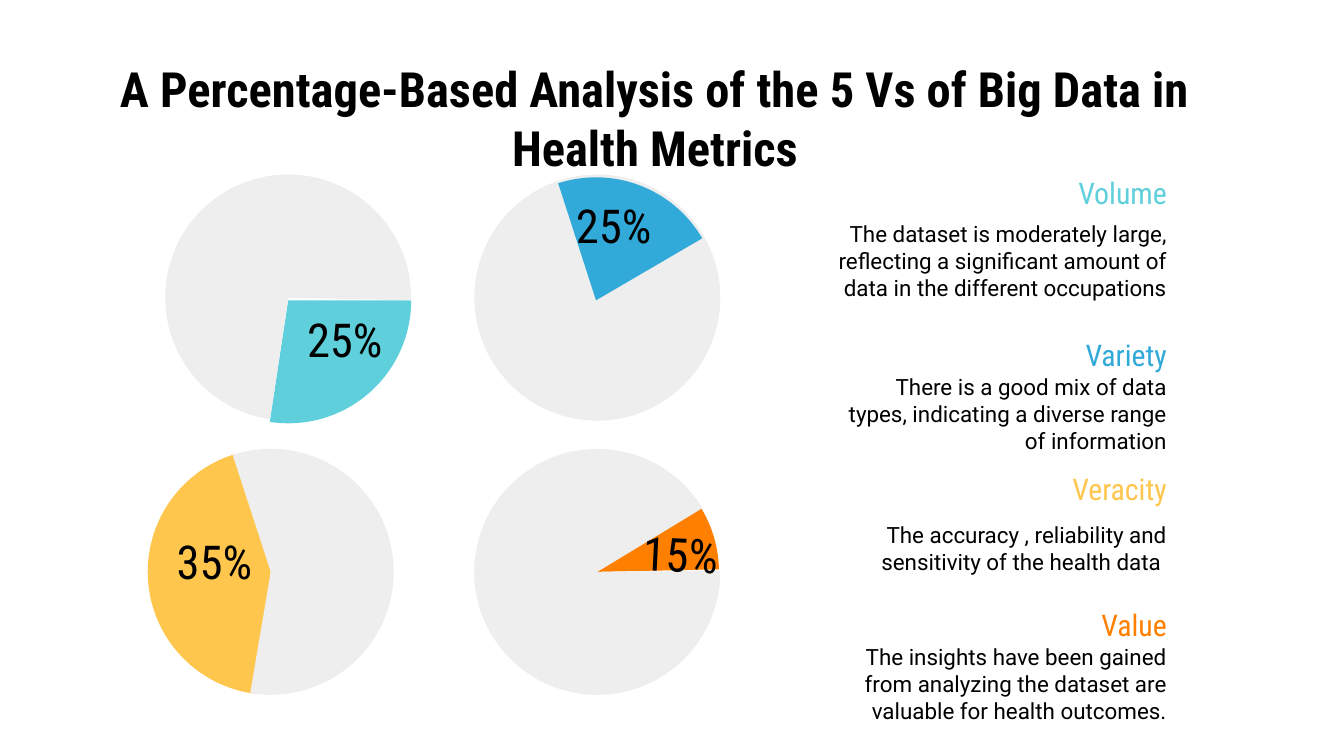
from pptx import Presentation
from pptx import util as u
from pptx.dml.color import RGBColor
from pptx.enum import shapes, text

WIDTH = 10
HEIGHT = WIDTH * 9 / 16
DIAMETER = 1.83
NOTE_RIGHT = 8.78
GREY, BLACK = "EEEEEE", "000000"
TEAL, BLUE, YELLOW, ORANGE = "5FD0DB", "32AAD9", "FFC64E", "FF8001"
CONDENSED = "Roboto Condensed"

TITLE = "A Percentage-Based Analysis of the 5 Vs of Big Data in Health Metrics"

PIES = [
    dict(label="35%", at=(1.1, 3.34), label_at=(1.1, 3.86), turn=0, tilt=0,
         wedges=[(YELLOW, 97.22, 253.28, 0, 0), (GREY, 251.96, 278.35, 0, 0),
                 (GREY, 277.79, 99.6, 0, 0)]),
    dict(label="15%", at=(3.53, 3.34), label_at=(4.57, 3.81), turn=270, tilt=2.9,
         wedges=[(ORANGE, 58.94, 88.82, -0.01, 0), (GREY, 89.47, 278.35, 0, 0),
                 (GREY, 248.62, 58.74, 0, 0)]),
    dict(label="25%", at=(1.23, 1.3), label_at=(2.07, 2.21), turn=0, tilt=0,
         wedges=[(TEAL, 0, 98.65, 0, 0.02), (GREY, 98.45, 308.54, 0, 0),
                 (GREY, 203.32, 1.22, 0, 0)]),
    dict(label="25%", at=(3.53, 1.3), label_at=(4.07, 1.36), turn=0, tilt=0,
         wedges=[(GREY, 128.13, 308.54, 0, 0), (GREY, 203.32, 130.2, 0, 0),
                 (BLUE, 252.09, 329.74, -0.01, 0.02)]),
]

NOTES = [
    ("Volume", TEAL, 1.3, 2.89, 0.7,
     "The dataset is moderately large, reflecting a significant amount of "
     "data in the different occupations"),
    ("Variety", BLUE, 2.5, 2.58, 0.57,
     "There is a good mix of data types, indicating a diverse range of information"),
    ("Veracity", YELLOW, 3.5, 2.58, 0.57,
     "The accuracy , reliability and sensitivity of the health data "),
    ("Value", ORANGE, 4.51, 2.58, 0.57,
     "The insights have been gained from analyzing the dataset are valuable "
     "for health outcomes."),
]


def rgb(color):
    return RGBColor.from_string(color)


def add_text(slide, words, left, top, width, height, *, size, font=CONDENSED,
             color=BLACK, align=text.PP_ALIGN.CENTER, bold=False, tilt=0):
    box = slide.shapes.add_textbox(*map(u.Inches, (left, top, width, height)))
    box.rotation = tilt
    frame = box.text_frame
    frame.word_wrap = True
    frame.vertical_anchor = text.MSO_ANCHOR.MIDDLE
    frame.margin_left = frame.margin_right = u.Inches(0.1)
    frame.margin_top = frame.margin_bottom = u.Inches(0.1)
    paragraph = frame.paragraphs[0]
    paragraph.alignment = align
    run = paragraph.add_run()
    run.text = words
    run.font.size, run.font.name, run.font.bold = u.Pt(size), font, bold
    run.font.color.rgb = rgb(color)


def add_wedge(slide, left, top, color, start, end, turn):
    wedge = slide.shapes.add_shape(
        shapes.MSO_SHAPE.PIE, *map(u.Inches, (left, top, DIAMETER, DIAMETER)))
    for index, degrees in enumerate((start, end)):
        wedge.adjustments[index] = degrees * 0.6
    wedge.rotation = turn
    wedge.shadow.inherit = False
    wedge.fill.solid()
    wedge.fill.fore_color.rgb = rgb(color)
    wedge.line.fill.background()


def main():
    """Build the slide of four percentage pies with their notes."""
    deck = Presentation()
    deck.slide_width, deck.slide_height = u.Inches(WIDTH), u.Inches(HEIGHT)
    slide = deck.slides.add_slide(deck.slide_layouts[6])

    add_text(slide, TITLE, 0.5, 0.67, 8.75, 0.41, size=26, bold=True)

    for pie in PIES:
        left, top = pie["at"]
        for color, start, end, dx, dy in pie["wedges"]:
            add_wedge(slide, left + dx, top + dy, color, start, end, pie["turn"])
        add_text(slide, pie["label"], *pie["label_at"], 0.99, 0.62,
                 size=25, tilt=pie["tilt"])

    right = text.PP_ALIGN.RIGHT
    for heading, color, top, width, height, body in NOTES:
        add_text(slide, heading, NOTE_RIGHT - 1.49, top, 1.49, 0.27,
                 size=16, color=color, align=right)
        add_text(slide, body, NOTE_RIGHT - width, top + 0.29, width, height,
                 size=12, font="Roboto", align=right)

    deck.save("out.pptx")


if __name__ == "__main__":
    main()
